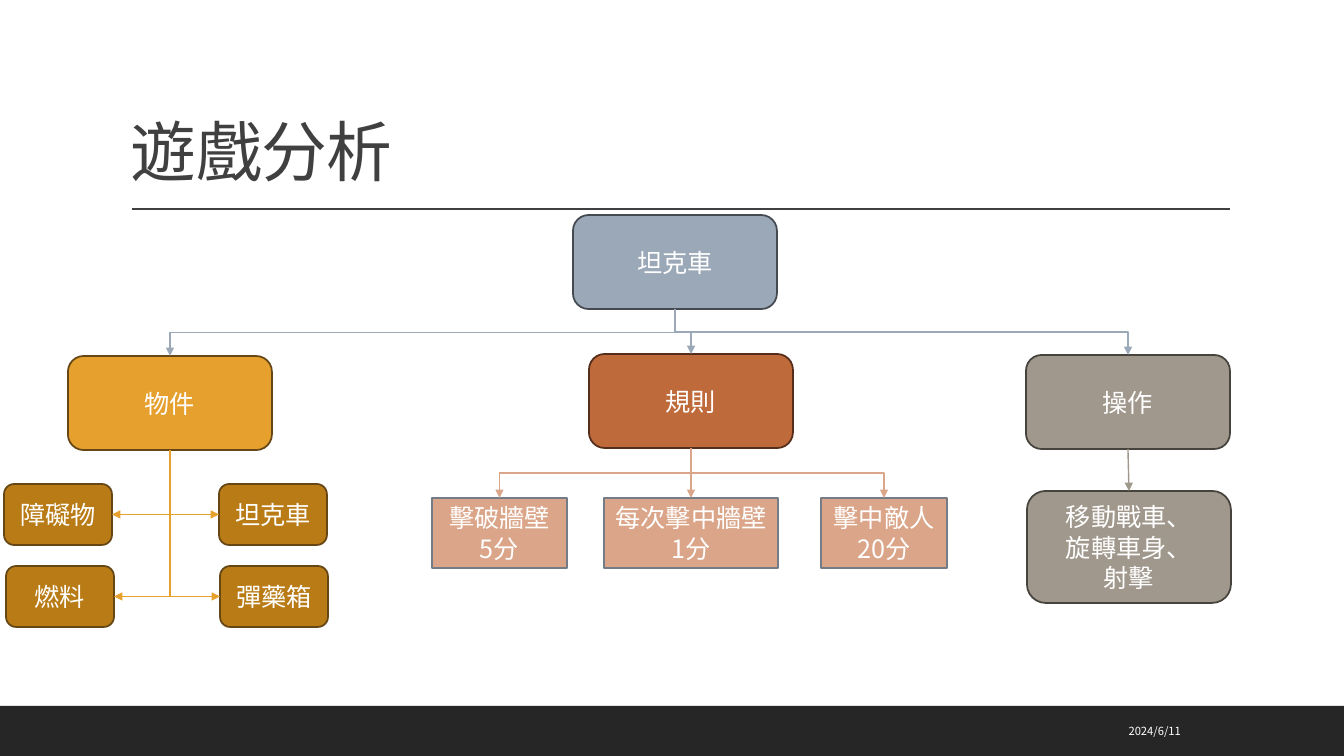
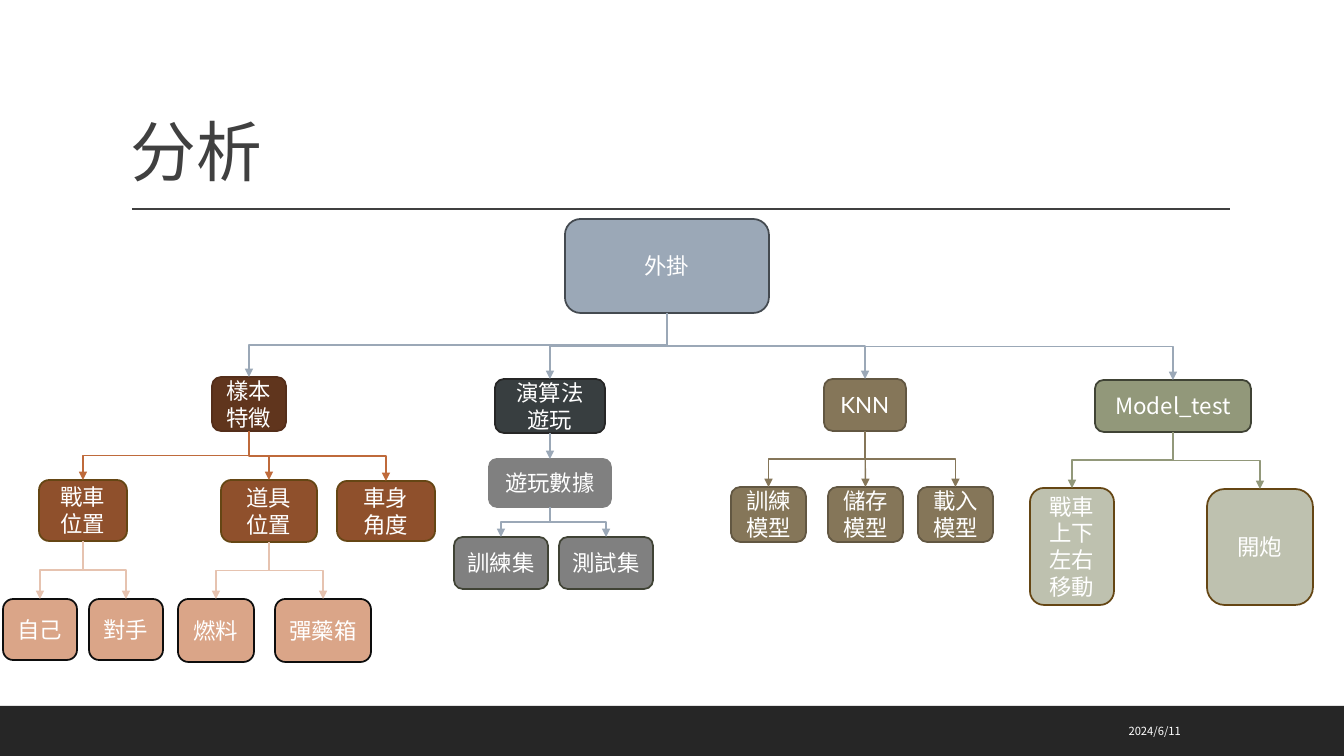
from collections import namedtuple

from pptx import Presentation, util as u
from pptx.dml.color import RGBColor
from pptx.enum import shapes, text
from pptx.oxml.ns import qn
from lxml import etree

PX = 914400 / 100.8
W, H = 1344, 756
FONT = "Noto Sans CJK SC"
WHITE, INK, BAND = "FFFFFF", "404040", "262626"
STEEL, GOLD, RUST, STONE = "9BA8B7", "E6A02E", "BF6A3B", "A0988C"
PEACH, BLUSH, OLIVE, SAGE, GREY = "DAA588", "E6C3B0", "857659", "92987A", "808080"
GOLD_EDGE, STONE_EDGE, SAGE_EDGE = "654614", "46433D", "404335"
TOP, LEFT, BOTTOM, RIGHT = range(4)
ROUND, RECT = shapes.MSO_SHAPE.ROUNDED_RECTANGLE, shapes.MSO_SHAPE.RECTANGLE

Style = namedtuple("Style", "fill edge shape", defaults=[ROUND])


def px(n):
    return u.Emu(round(n * PX))


def rgb(h):
    return RGBColor.from_string(h)


def add_run(p, words, size, color, font=FONT):
    r = p.add_run()
    r.text = words
    r.font.size, r.font.name = u.Pt(size), font
    r.font.color.rgb = rgb(color)
    etree.SubElement(r._r.get_or_add_rPr(), qn("a:ea")).set("typeface", FONT)
    return r


def add_label(s, box, words, size, color, anchor, align):
    sp = s.shapes.add_textbox(*map(px, box))
    tf = sp.text_frame
    tf.word_wrap, tf.vertical_anchor = True, anchor
    p = tf.paragraphs[0]
    p.alignment = align
    return p, add_run(p, words, size, color)


def add_shape(s, box, style):
    sp = s.shapes.add_shape(style.shape, *map(px, box))
    sp.shadow.inherit = False
    sp.fill.solid()
    sp.fill.fore_color.rgb = rgb(style.fill)
    if style.edge:
        sp.line.color.rgb, sp.line.width = rgb(style.edge), u.Pt(1.25)
    else:
        sp.line.fill.background()
    return sp


def add_node(s, box, words, style, size, font=FONT):
    sp = add_shape(s, box, style)
    tf = sp.text_frame
    tf.word_wrap, tf.vertical_anchor = True, text.MSO_ANCHOR.MIDDLE
    for i, line in enumerate(words.split("\n")):
        p = tf.add_paragraph() if i else tf.paragraphs[0]
        p.alignment, p.line_spacing = text.PP_ALIGN.CENTER, u.Pt(size * 1.2)
        add_run(p, line, size, WHITE, font)
    return sp


def style_line(cxn, color, arrow):
    cxn.line.color.rgb, cxn.line.width = rgb(color), u.Pt(1)
    etree.SubElement(cxn._element.spPr, qn("a:effectLst"))
    if arrow:
        ln = cxn.line._get_or_add_ln()
        etree.SubElement(ln, qn("a:tailEnd")).set("type", "triangle")


def turn_down(cxn, site):
    x1, y1, x2, y2 = cxn.begin_x, cxn.begin_y, cxn.end_x, cxn.end_y
    cx, cy = (x1 + x2) // 2, (y1 + y2) // 2
    dx, dy = abs(x2 - x1) // 2, (y2 - y1) // 2
    side = 1 if x2 > x1 else -1
    cxn.begin_x, cxn.begin_y = cx + side * dy, cy - dx
    cxn.end_x, cxn.end_y = cx - side * dy, cy + dx
    spPr = cxn._element.spPr
    spPr.find(qn("a:xfrm")).set("rot", str((180 + 90 * side) * 60000))
    if site != TOP:
        spPr.find(qn("a:prstGeom")).set("prst", "bentConnector2")


def add_link(s, parent, child, color, site=TOP):
    offset = child.left + child.width // 2 - parent.left - parent.width // 2
    straight = site == TOP and abs(offset) < px(3)
    kind = shapes.MSO_CONNECTOR.STRAIGHT if straight else shapes.MSO_CONNECTOR.ELBOW
    cxn = s.shapes.add_connector(kind, 0, 0, 0, 0)
    cxn.begin_connect(parent, BOTTOM)
    cxn.end_connect(child, site)
    if not straight:
        turn_down(cxn, site)
    style_line(cxn, color, True)


def add_branch(s, parent, origin, items, style, color, size, sites=None):
    x, y = origin
    nodes = []
    for i, (dx, dy, w, h, words) in enumerate(items):
        sp = add_node(s, (x + dx, y + dy, w, h), words, style, size)
        add_link(s, parent, sp, color, sites[i % len(sites)] if sites else TOP)
        nodes.append(sp)
    return nodes


def new_slide(prs, title):
    s = prs.slides.add_slide(prs.slide_layouts[6])
    add_shape(s, (0, 706, W, 50), Style(BAND, None, RECT))
    rule = s.shapes.add_connector(shapes.MSO_CONNECTOR.STRAIGHT, px(132), px(209), px(1230), px(209))
    style_line(rule, INK, False)
    p, r = add_label(s, (121, 36, 1109, 160), title, 47, INK, text.MSO_ANCHOR.BOTTOM, text.PP_ALIGN.LEFT)
    p.line_spacing = 0.9
    r._r.get_or_add_rPr().set("spc", "-50")
    add_label(s, (906, 711, 285, 40), "2024/6/11", 8, WHITE, text.MSO_ANCHOR.MIDDLE, text.PP_ALIGN.RIGHT)
    return s


def add_objects(s, root, x, y):
    head = add_node(s, (x + 64, y, 204, 94), "物件", Style(GOLD, GOLD_EDGE), 18)
    add_link(s, root, head, STEEL)
    items = [(0, 128, 108, 61, "障礙物"), (215, 128, 108, 61, "坦克車"),
             (2, 210, 108, 61, "燃料"), (216, 210, 108, 61, "彈藥箱")]
    add_branch(s, head, (x, y), items, Style("B97B16", GOLD_EDGE), GOLD, 18, (RIGHT, LEFT))


def add_rules(s, root, x, y):
    head = add_node(s, (x + 157, y, 204, 94), "規則", Style(RUST, "542E1A"), 18)
    add_link(s, root, head, STEEL)
    items = [(0, 144, 135, 70, "擊破牆壁\n5分"), (172, 144, 174, 70, "每次擊中牆壁\n1分"),
             (389, 144, 126, 70, "擊中敵人\n20分")]
    add_branch(s, head, (x, y), items, Style(PEACH, "737C87", RECT), PEACH, 18)


def add_controls(s, root, x, y):
    style = Style(STONE, STONE_EDGE)
    head = add_node(s, (x, y, 204, 94), "操作", style, 18)
    add_link(s, root, head, STEEL)
    add_branch(s, head, (x, y), [(1, 136, 204, 112, "移動戰車、\n旋轉車身、\n射擊")], style, STONE, 18)


def add_features(s, root, x, y):
    head = add_node(s, (x + 209, y, 74, 54), "樣本\n特徵", Style("60351D", "542E1A"), 16)
    add_link(s, root, head, STEEL)
    items = [(36, 103, 88, 61, "戰車位置"), (218, 103, 96, 62, "道具\n位置"), (334, 104, 98, 60, "車身\n角度")]
    tank, item, _ = add_branch(s, head, (x, y), items, Style("8F502C", GOLD_EDGE), RUST, 16)
    leaf = Style(PEACH, "0D0D0D")
    for parent, items in ((tank, [(0, 222, 74, 61, "自己"), (86, 222, 74, 61, "對手")]),
                          (item, [(175, 222, 76, 63, "燃料"), (272, 222, 96, 63, "彈藥箱")])):
        add_branch(s, parent, (x, y), items, leaf, BLUSH, 16)


def add_play_data(s, root, x, y):
    head = add_node(s, (x + 41, y, 110, 54), "演算法遊玩", Style("383E40", BAND), 16)
    add_link(s, root, head, STEEL)
    data, = add_branch(s, head, (x, y), [(35, 80, 122, 48, "遊玩數據")], Style(GREY, GREY), STEEL, 16)
    items = [(0, 158, 94, 52, "訓練集"), (105, 158, 94, 52, "測試集")]
    add_branch(s, data, (x, y), items, Style(GREY, SAGE_EDGE), STEEL, 16)


def add_knn(s, root, x, y):
    style = Style(OLIVE, "625742")
    head = add_node(s, (x + 93, y, 82, 52), "KNN", style, 16, "Lato")
    add_link(s, root, head, STEEL)
    items = [(dx, 108, 75, 55, verb + "\n模型") for dx, verb in ((0, "訓練"), (97, "儲存"), (187, "載入"))]
    add_branch(s, head, (x, y), items, style, OLIVE, 16)


def add_model_test(s, root, x, y):
    head = add_node(s, (x + 65, y, 156, 52), "Model_test", Style(SAGE, SAGE_EDGE), 16)
    add_link(s, root, head, STEEL)
    items = [(0, 108, 84, 117, "戰車\n上下左右移動"), (177, 109, 106, 116, "開炮")]
    add_branch(s, head, (x, y), items, Style("BEC1AF", GOLD_EDGE), SAGE, 16)


def main():
    prs = Presentation()
    prs.slide_width, prs.slide_height = px(W), px(H)
    root_style = Style(STEEL, "444A50")

    s = new_slide(prs, "遊戲分析")
    root = add_node(s, (573, 215, 204, 94), "坦克車", root_style, 18)
    add_objects(s, root, 4, 356)
    add_rules(s, root, 432, 354)
    add_controls(s, root, 1026, 355)

    s = new_slide(prs, "分析")
    root = add_node(s, (565, 219, 204, 94), "外掛", root_style, 16)
    add_features(s, root, 3, 377)
    add_play_data(s, root, 454, 379)
    add_knn(s, root, 731, 379)
    add_model_test(s, root, 1030, 380)

    prs.save("out.pptx")


if __name__ == "__main__":
    main()
